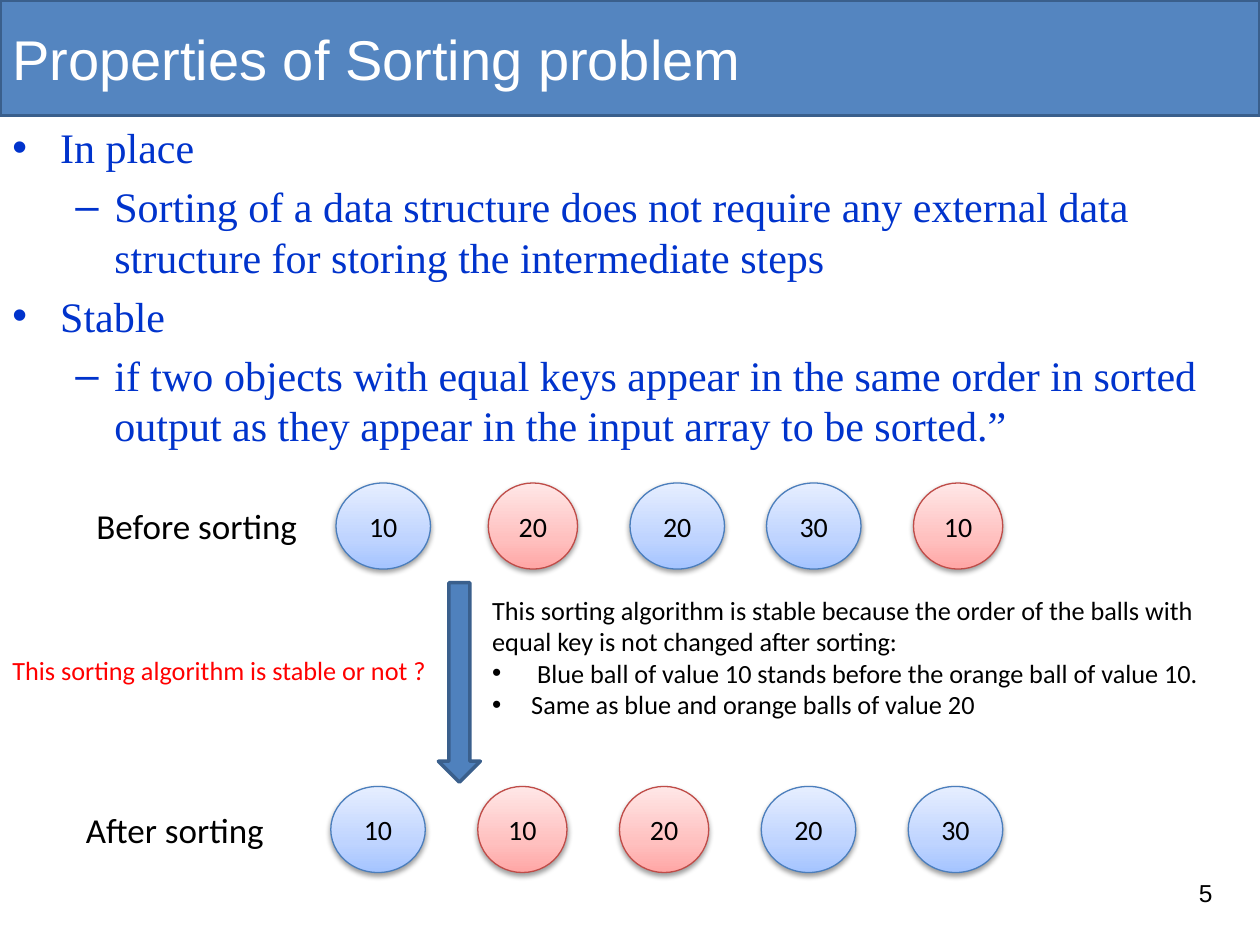
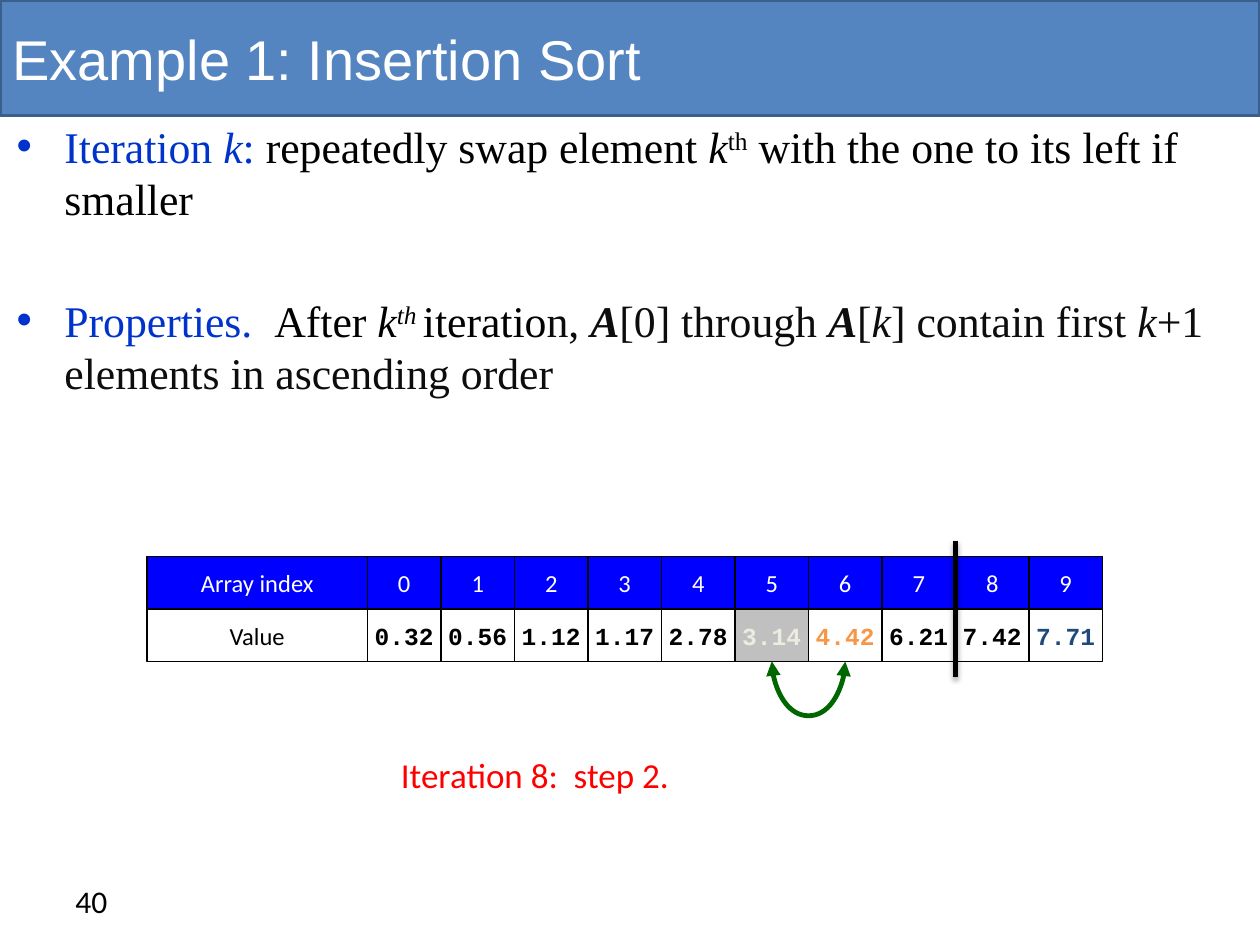
"""Build two slides on sorting: properties of sorting and an insertion sort step."""
from dataclasses import dataclass

from lxml import etree
from pptx import Presentation
from pptx.dml.color import RGBColor
from pptx.enum.shapes import MSO_CONNECTOR, MSO_SHAPE
from pptx.enum.text import MSO_ANCHOR, PP_ALIGN
from pptx.oxml.ns import qn
from pptx.util import Emu, Inches, Pt

RECTANGLE, OVAL, DOWN_ARROW = MSO_SHAPE.RECTANGLE, MSO_SHAPE.OVAL, MSO_SHAPE.DOWN_ARROW
STRAIGHT, CURVE = MSO_CONNECTOR.STRAIGHT, MSO_CONNECTOR.CURVE
LEFT, CENTER = PP_ALIGN.LEFT, PP_ALIGN.CENTER
TOP, MIDDLE = MSO_ANCHOR.TOP, MSO_ANCHOR.MIDDLE
SLIDE_WIDTH, SLIDE_HEIGHT = Inches(10), Inches(7.5)
COLUMNS, ROWS = 120, 90


@dataclass(frozen=True)
class Theme:
    """Colours, fonts and type sizes of the deck."""
    band: str = "5485C0"
    arrow: str = "4F81BD"
    edge: str = "3A5F8C"
    white: str = "FFFFFF"
    black: str = "000000"
    soft_black: str = "0D0D0D"
    blue: str = "0033CC"
    red: str = "FF0000"
    green: str = "006600"
    header: str = "0000FF"
    grey: str = "C0C0C0"
    cream: str = "EEECE1"
    orange: str = "F79646"
    navy: str = "1F497D"
    heading_font: str = "Arial"
    body_font: str = "Times New Roman"
    label_font: str = "Calibri"
    code_font: str = "Courier New"
    title_size: int = 32
    large_body_size: int = 25
    body_size: int = 24
    label_size: int = 20
    number_size: int = 18
    ball_size: int = 16
    note_size: int = 15
    cell_size: int = 14


THEME = Theme()


@dataclass(frozen=True)
class Area:
    """A rectangle in grid columns and rows."""
    left: float
    top: float
    width: float
    height: float


@dataclass(frozen=True)
class Style:
    """Font, size and colour of a text."""
    font: str
    size: int
    color: str


@dataclass(frozen=True)
class Span:
    """A run of text and what differs from its box style."""
    text: str
    color: str | None = None
    bold: bool = False
    italic: bool = False
    raised: bool = False


@dataclass(frozen=True)
class Para:
    """A paragraph with its optional bullet, indent and gap."""
    spans: tuple[Span, ...]
    bullet: str = ""
    margin: float = 0
    hanging: float = 0
    before: float = 0


@dataclass(frozen=True)
class BallKind:
    """Gradient, outline and width shared by balls of one colour."""
    dark: str
    middle: str
    light: str
    edge: str
    width: float


@dataclass(frozen=True)
class Ball:
    """A numbered ball at a grid column."""
    value: int
    left: float
    kind: BallKind


@dataclass(frozen=True)
class BallRow:
    """A labelled row of balls."""
    label: str
    label_left: float
    top: float
    balls: tuple[Ball, ...]


@dataclass(frozen=True)
class ArrayItem:
    """One array value with its text and fill colours."""
    value: str
    color: str = THEME.black
    fill: str = THEME.white


BLUE_BALL = BallKind("A4C4FF", "BFD4FF", "E6EEFF", "4B7EBC", 9)
RED_BALL = BallKind("FFA6A5", "FFC0BF", "FFE7E7", "BF4C48", 8.5)
BALL_HEIGHT = 8.2
BALL_ROWS = (
    BallRow("Before sorting", 8, 46, (
        Ball(10, 32, BLUE_BALL), Ball(20, 46.5, RED_BALL), Ball(20, 60, BLUE_BALL),
        Ball(30, 73, BLUE_BALL), Ball(10, 87, RED_BALL))),
    BallRow("After sorting", 7, 74.9, (
        Ball(10, 31.5, BLUE_BALL), Ball(10, 45.5, RED_BALL), Ball(20, 59, RED_BALL),
        Ball(20, 72.5, BLUE_BALL), Ball(30, 86.5, BLUE_BALL))),
)
ARRAY = tuple(map(ArrayItem, ("0.32", "0.56", "1.12", "1.17", "2.78"))) + (
    ArrayItem("3.14", THEME.cream, THEME.grey), ArrayItem("4.42", THEME.orange),
    ArrayItem("6.21"), ArrayItem("7.42"), ArrayItem("7.71", THEME.navy))
ARRAY_LEFT, ARRAY_TOP, LABEL_WIDTH, CELL_WIDTH, CELL_HEIGHT = 14, 53, 21, 7, 5


def across(columns: float) -> Emu:
    """Convert grid columns to a length."""
    return Emu(round(SLIDE_WIDTH * columns / COLUMNS))


def down(rows: float) -> Emu:
    """Convert grid rows to a length."""
    return Emu(round(SLIDE_HEIGHT * rows / ROWS))


def place(area: Area) -> tuple[Emu, Emu, Emu, Emu]:
    """Give the position and size of an area."""
    return across(area.left), down(area.top), across(area.width), down(area.height)


def add_child(parent, tag: str, **attributes):
    """Append a drawing element with attributes."""
    return etree.SubElement(parent, qn(f"a:{tag}"), attributes)


def write(frame, paras: tuple[Para, ...], style: Style, align=LEFT, anchor=TOP, wrap=True) -> None:
    """Fill a text frame with formatted paragraphs."""
    frame.word_wrap, frame.vertical_anchor = wrap, anchor
    for index, para in enumerate(paras):
        paragraph = frame.add_paragraph() if index else frame.paragraphs[0]
        paragraph.alignment = align
        if para.bullet:
            properties = paragraph._p.get_or_add_pPr()
            properties.set("marL", str(Inches(para.margin)))
            properties.set("indent", str(-Inches(para.hanging)))
            add_child(properties, "buFont", typeface=THEME.heading_font)
            add_child(properties, "buChar", char=para.bullet)
        if para.before:
            paragraph.space_before = Pt(para.before)
        for span in para.spans:
            run = paragraph.add_run()
            run.text = span.text
            font = run.font
            font.name, font.size = style.font, Pt(style.size)
            font.bold, font.italic = span.bold, span.italic
            font.color.rgb = RGBColor.from_string(span.color or style.color)
            if span.raised:
                font._element.set("baseline", "30000")


def plain(text: str, bold: bool = False) -> tuple[Para, ...]:
    """Make one paragraph of one span."""
    return (Para((Span(text, bold=bold),)),)


def add_text(slide, area: Area, paras: tuple[Para, ...], style: Style) -> None:
    """Add a wrapped text box."""
    write(slide.shapes.add_textbox(*place(area)).text_frame, paras, style)


def add_box(slide, kind, area: Area, fill: str | None, edge: str, weight: float):
    """Add a preset shape without shadow."""
    box = slide.shapes.add_shape(kind, *place(area))
    box.shadow.inherit = False
    if fill:
        box.fill.solid()
        box.fill.fore_color.rgb = RGBColor.from_string(fill)
    box.line.color.rgb = RGBColor.from_string(edge)
    box.line.width = Pt(weight)
    return box


def cast_shadow(effects, opacity: int, distance: float) -> None:
    """Put a soft downward shadow in an effect list."""
    shadow = add_child(effects, "outerShdw", blurRad=str(Pt(3.1)), dist=str(Pt(distance)),
                       dir="5400000", rotWithShape="0")
    add_child(add_child(shadow, "srgbClr", val=THEME.black), "alpha", val=str(opacity * 1000))


def add_ball(slide, ball: Ball, top: float) -> None:
    """Add a shaded ball with its value."""
    kind = ball.kind
    shape = add_box(slide, OVAL, Area(ball.left, top, kind.width, BALL_HEIGHT), None, kind.edge, 0.75)
    properties = shape._element.spPr
    gradient = etree.Element(qn("a:gradFill"), rotWithShape="1")
    stops = add_child(gradient, "gsLst")
    for position, color in ((0, kind.dark), (35, kind.middle), (100, kind.light)):
        add_child(add_child(stops, "gs", pos=str(position * 1000)), "srgbClr", val=color)
    add_child(gradient, "lin", ang="16200000", scaled="0")
    properties.find(qn("a:prstGeom")).addnext(gradient)
    cast_shadow(properties.find(qn("a:effectLst")), 38, 1.6)
    write(shape.text_frame, plain(str(ball.value)),
          Style(THEME.label_font, THEME.ball_size, THEME.black), CENTER, MIDDLE, False)


def add_line(slide, kind, start: tuple[Emu, Emu], end: tuple[Emu, Emu], color: str, weight: float):
    """Add a connector and return it with its empty effect list."""
    line = slide.shapes.add_connector(kind, *start, *end)
    line.line.color.rgb = RGBColor.from_string(color)
    line.line.width = Pt(weight)
    return line, add_child(line._element.spPr, "effectLst")


def add_swap_arc(slide, middle: float, row: float) -> None:
    """Add a double-headed arc below two neighbouring cells."""
    sliver, depth, half = Emu(1588), down(5.72), across(CELL_WIDTH / 2)
    x, y = across(middle), down(row)
    arc, _ = add_line(slide, CURVE, (x + sliver, y - half), (x, y + half), THEME.green, 2.75)
    properties = arc._element.spPr
    properties.xfrm.set("rot", "16200000")
    geometry = properties.find(qn("a:prstGeom"))
    for guides in geometry.findall(qn("a:avLst")):
        geometry.remove(guides)
    add_child(add_child(geometry, "avLst"), "gd", name="adj1", fmla=f"val {round(depth / sliver * 100000)}")
    outline = properties.find(qn("a:ln"))
    for end in ("headEnd", "tailEnd"):
        add_child(outline, end, type="triangle")


def add_page(deck, title: str):
    """Add a blank slide with its title band."""
    slide = deck.slides.add_slide(deck.slide_layouts[6])
    band = add_box(slide, RECTANGLE, Area(0, 0, COLUMNS, 11), THEME.band, THEME.edge, 2)
    write(band.text_frame, plain(title), Style(THEME.heading_font, THEME.title_size, THEME.white), anchor=MIDDLE)
    return slide


def add_properties_page(deck) -> None:
    """Add the slide on in-place and stable sorting."""
    slide = add_page(deck, "Properties of Sorting problem")
    topics = (
        ("In place", "Sorting of a data structure does not require any external data structure "
                     "for storing the intermediate steps"),
        ("Stable", "if two objects with equal keys appear in the same order in sorted output "
                   "as they appear in the input array to be sorted.”"))
    body = tuple(para for index, (term, meaning) in enumerate(topics) for para in (
        Para((Span(term),), "•", 0.38, 0.38, 5 if index else 0),
        Para((Span(meaning),), "–", 0.81, 0.31, 5)))
    add_text(slide, Area(0, 11, COLUMNS, 71), body, Style(THEME.body_font, THEME.body_size, THEME.blue))
    for row in BALL_ROWS:
        for ball in row.balls:
            add_ball(slide, ball, row.top)
        add_text(slide, Area(row.label_left, row.top + 1.5, 27, 5.2), plain(row.label),
                 Style(THEME.label_font, THEME.label_size, THEME.black))
    note = plain("This sorting algorithm is stable because the order of the balls with "
                 "equal key is not changed after sorting:") + tuple(
        Para((Span(text),), "•", 0.31, 0.31) for text in (
            " Blue ball of value 10 stands before the orange ball of value 10.",
            "Same as blue and orange balls of value 20"))
    add_text(slide, Area(45.7, 56, 70.8, 13.3), note, Style(THEME.label_font, THEME.note_size, THEME.black))
    add_box(slide, DOWN_ARROW, Area(41.75, 55.5, 4, 19), THEME.arrow, THEME.edge, 2)
    add_text(slide, Area(0, 61.7, 43, 4.2), plain("This sorting algorithm is stable or not ?"),
             Style(THEME.label_font, THEME.note_size, THEME.red))
    add_text(slide, Area(113, 83, 6, 4.8), plain("5"),
             Style(THEME.heading_font, THEME.cell_size, THEME.black))


def add_cell(slide, column: int, row: int, text: str, fill: str, style: Style, bold: bool = False) -> None:
    """Add one cell of the array, with column -1 for the row label."""
    left = ARRAY_LEFT if column < 0 else ARRAY_LEFT + LABEL_WIDTH + column * CELL_WIDTH
    width = LABEL_WIDTH if column < 0 else CELL_WIDTH
    area = Area(left, ARRAY_TOP + row * CELL_HEIGHT, width, CELL_HEIGHT)
    cell = add_box(slide, RECTANGLE, area, fill, THEME.black, 0.75)
    write(cell.text_frame, plain(text, bold), style, CENTER, MIDDLE, False)


def add_insertion_page(deck) -> None:
    """Add the slide on one step of insertion sort."""
    slide = add_page(deck, "Example 1: Insertion Sort")
    dark = THEME.soft_black
    body = (
        Para((Span("Iteration ", THEME.blue), Span("k", THEME.blue, italic=True), Span(": ", THEME.blue),
              Span("repeatedly swap element "), Span("k", italic=True), Span("th", raised=True),
              Span(" with the one to its left if smaller")), "•", 0.38, 0.38),
        Para((Span("Properties.  ", THEME.blue), Span("After "), Span("k", italic=True),
              Span("th ", italic=True, raised=True), Span("iteratio"), Span("n, ", dark),
              Span("A", dark, True, True), Span("[0] through ", dark), Span("A", dark, True, True),
              Span("[", dark), Span("k", dark, italic=True), Span("] contain first ", dark),
              Span("k", dark, italic=True), Span("+1 elements in ascending order", dark)),
             "•", 0.38, 0.38, 39.5))
    add_text(slide, Area(0.4, 10.8, 121, 30.2), body,
             Style(THEME.body_font, THEME.large_body_size, THEME.black))
    header = Style(THEME.label_font, THEME.cell_size, THEME.white)
    add_cell(slide, -1, 0, "Array index", THEME.header, header)
    add_cell(slide, -1, 1, "Value", THEME.white, Style(THEME.label_font, THEME.cell_size, THEME.black))
    for index, item in enumerate(ARRAY):
        add_cell(slide, index, 0, str(index), THEME.header, header)
        add_cell(slide, index, 1, item.value, item.fill,
                 Style(THEME.code_font, THEME.cell_size, item.color), True)
    cells_left = ARRAY_LEFT + LABEL_WIDTH
    add_swap_arc(slide, cells_left + 6 * CELL_WIDTH, ARRAY_TOP + 2 * CELL_HEIGHT)
    divider = across(cells_left + 8 * CELL_WIDTH)
    _, effects = add_line(slide, STRAIGHT, (divider, down(51.5)), (divider, down(64.5)), THEME.black, 3)
    cast_shadow(effects, 35, 1.8)
    add_text(slide, Area(37, 71.2, 49, 5.2), plain("Iteration 8:  step 2."),
             Style(THEME.label_font, THEME.label_size, THEME.red))
    add_text(slide, Area(6, 83.4, 28, 4.8), plain("40"),
             Style(THEME.label_font, THEME.number_size, THEME.black))


def main() -> None:
    """Build and save the deck."""
    deck = Presentation()
    deck.slide_width, deck.slide_height = SLIDE_WIDTH, SLIDE_HEIGHT
    add_properties_page(deck)
    add_insertion_page(deck)
    deck.save("out.pptx")


if __name__ == "__main__":
    main()
